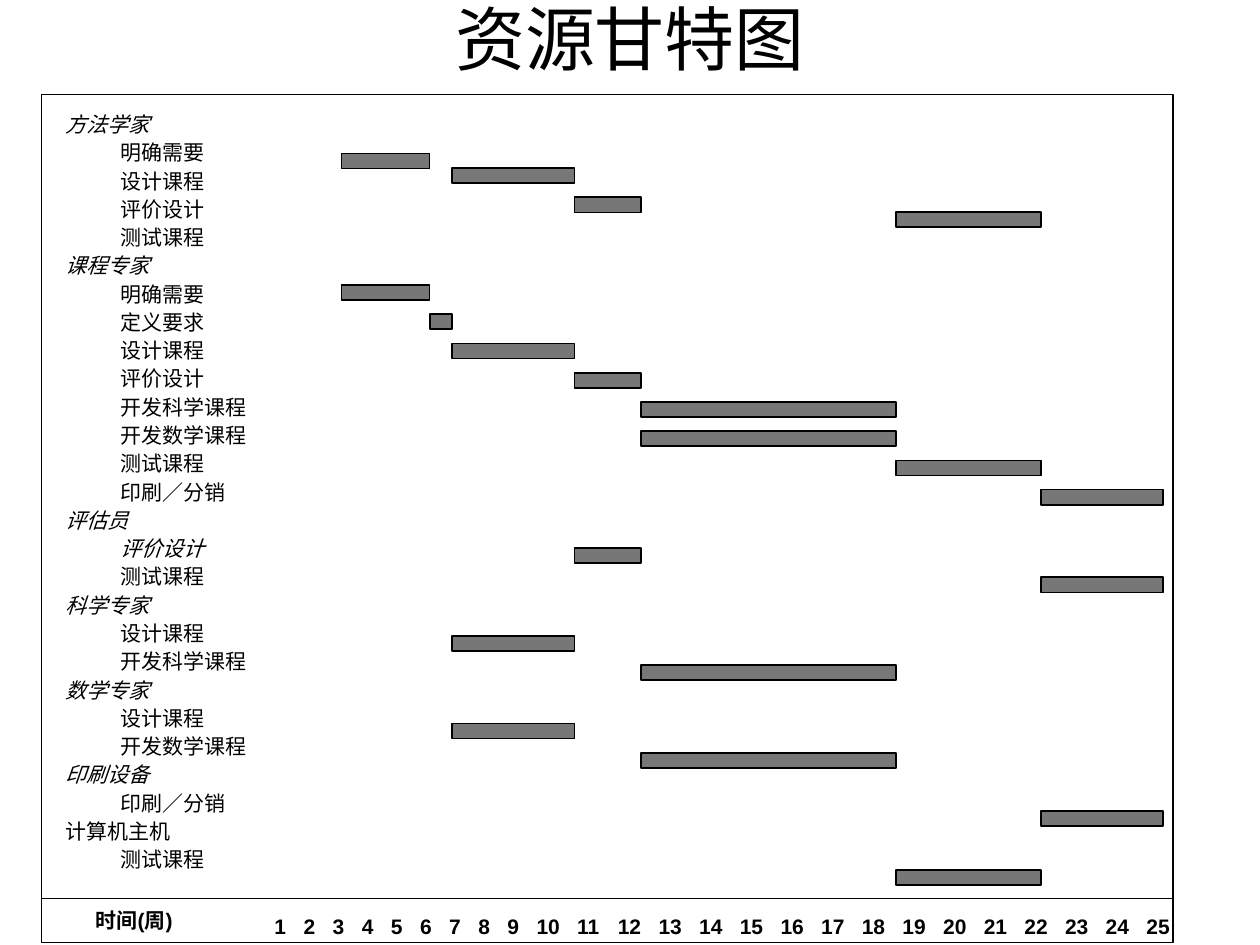
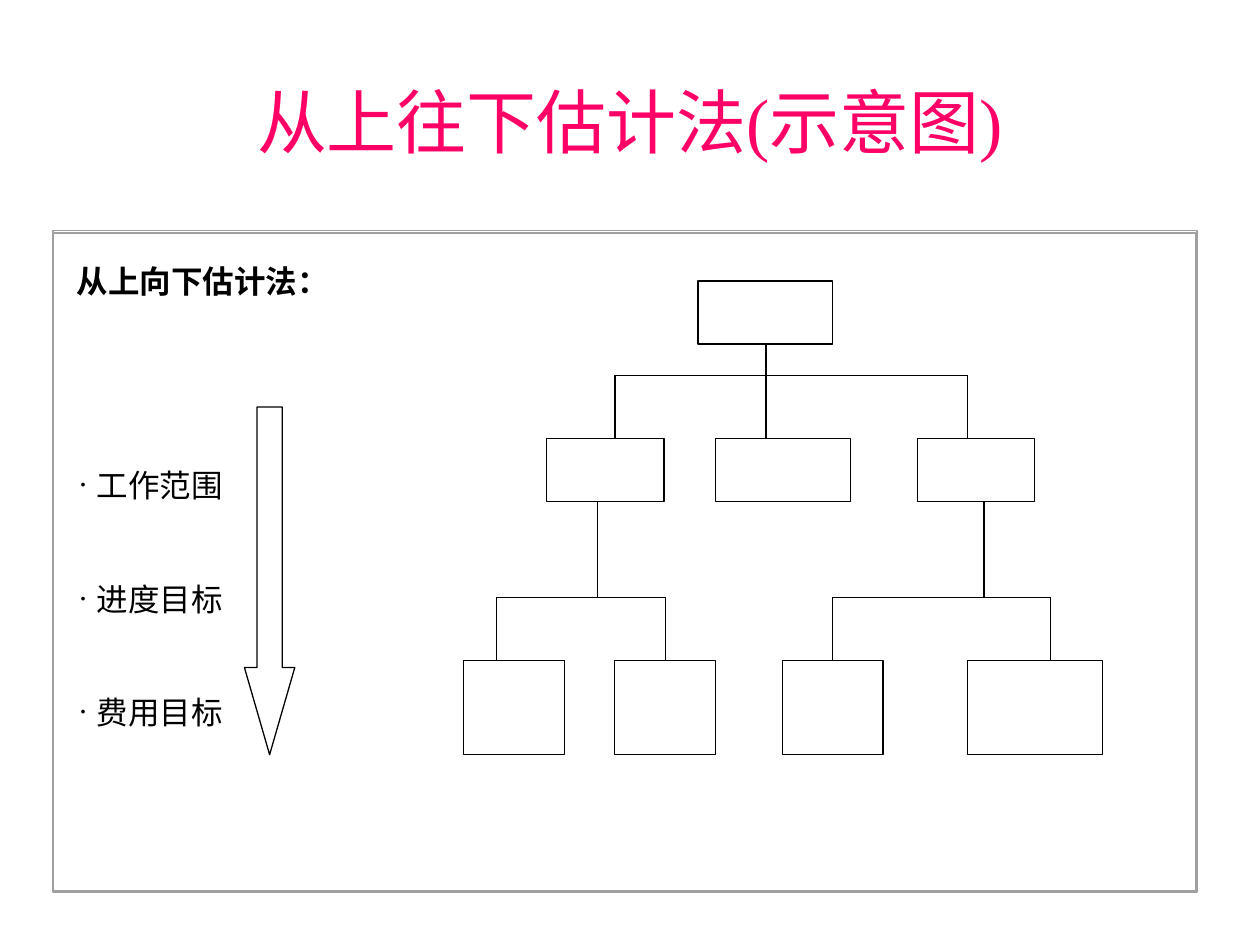
"""Build a resource Gantt chart slide and a top-down estimating slide."""
import pptx
import pptx.dml.color
import pptx.enum.shapes
import pptx.enum.text
import pptx.oxml.ns
import pptx.util
from lxml import etree

Inches = pptx.util.Inches
Pt = pptx.util.Pt
SHAPE = pptx.enum.shapes.MSO_SHAPE
ALIGN = pptx.enum.text.PP_ALIGN
ANCHOR = pptx.enum.text.MSO_ANCHOR

BLACK, WHITE, BAR_GRAY, FRAME_GRAY, PINK = "000000", "FFFFFF", "777777", "A0A0A0", "FF0066"
SANS, SERIF, TITLE_SANS = "Arial", "Times New Roman", "Lato"

GANTT_TITLE = "资源甘特图"
AXIS_TITLE = "时间(周)"
PHASES = {
    "明确需要": (2.71, 3.41),
    "定义要求": (3.41, 3.59),
    "设计课程": (3.59, 4.56),
    "评价设计": (4.56, 5.09),
    "开发科学课程": (5.09, 7.11),
    "开发数学课程": (5.09, 7.11),
    "测试课程": (7.11, 8.26),
    "印刷／分销": (8.26, 9.23),
}
RESOURCES = [
    ("方法学家", ["明确需要", "设计课程", "评价设计", "测试课程"]),
    ("课程专家", list(PHASES)),
    ("评估员", ["评价设计", "测试课程"]),
    ("科学专家", ["设计课程", "开发科学课程"]),
    ("数学专家", ["设计课程", "开发数学课程"]),
    ("印刷设备", ["印刷／分销"]),
    ("计算机主机", ["测试课程"]),
]
UPRIGHT_RESOURCES = {"计算机主机"}
ITALIC_TASKS = {("评估员", "评价设计")}
PHASE_OVERRIDES = {("评估员", "测试课程"): "印刷／分销"}
ROW_SHIFTS = {1: 0.5, 4: -0.5}
FIRST_BAR_TOP, BAR_PITCH, BAR_HEIGHT = 0.87, 0.232, 0.12
WEEKS = range(1, 26)
WEEK_10_TAB, WEEK_25_TAB = 2.08, 6.92

ESTIMATE_TITLE = "从上往下估计法(示意图)"
ESTIMATE_HEADING = "从上向下估计法："
TARGETS = ["工作范围", "进度目标", "费用目标"]
TREE_LEVELS = [
    (2.23, 0.5, [(5.54, 1.07)]),
    (3.48, 0.5, [(4.34, 0.93), (5.68, 1.07), (7.28, 0.93)]),
    (5.24, 0.75, [(3.68, 0.8), (4.88, 0.8), (6.21, 0.8), (7.68, 1.07)]),
]
BRANCHES = [
    (6.08, 2.73, 2.98, 3.48, [4.88, 6.08, 7.68]),
    (4.74, 3.98, 4.74, 5.24, [3.94, 5.28]),
    (7.81, 3.98, 4.74, 5.24, [6.61, 8.34]),
]


def color(hex_text):
    return pptx.dml.color.RGBColor.from_string(hex_text)


def add_box(page, left, top, width, height, anchor=ANCHOR.TOP):
    box = page.shapes.add_textbox(Inches(left), Inches(top), Inches(width), Inches(height))
    box.text_frame.word_wrap = True
    box.text_frame.vertical_anchor = anchor
    return box


def add_text(box, text, size=12, font=SANS, ink=BLACK, bold=False, italic=False,
             align=ALIGN.LEFT, before=0, spacing=None, margin=0, bullet=None, tabs=()):
    frame = box.text_frame
    first = not frame.paragraphs[0].runs
    para = frame.paragraphs[0] if first else frame.add_paragraph()
    para.alignment = align
    if spacing:
        para.line_spacing = spacing
    if before and not first:
        para.space_before = Pt(before)
    properties = para._p.get_or_add_pPr()
    if margin:
        properties.set("marL", str(Inches(margin)))
        properties.set("indent", str(-Inches(margin) if bullet else 0))
    qn = pptx.oxml.ns.qn
    if bullet:
        etree.SubElement(properties, qn("a:buFont"), typeface=font)
        etree.SubElement(properties, qn("a:buChar"), char=bullet)
    if tabs:
        tab_list = etree.SubElement(properties, qn("a:tabLst"))
        for position in tabs:
            etree.SubElement(tab_list, qn("a:tab"), pos=str(Inches(position)), algn="l")
    span = para.add_run()
    span.text = text
    span.font.size = Pt(size)
    span.font.name = font
    span.font.bold = bold
    span.font.italic = italic
    span.font.color.rgb = color(ink)


def add_title(page, text, top, font, ink):
    box = add_box(page, 0.75, top, 8.5, 1.25, ANCHOR.MIDDLE)
    add_text(box, text, size=40, font=font, ink=ink, align=ALIGN.CENTER)


def add_block(page, left, top, width, height, fill=None, line=BLACK, weight=0.75,
              kind=SHAPE.RECTANGLE):
    block = page.shapes.add_shape(kind, Inches(left), Inches(top), Inches(width), Inches(height))
    block.shadow.inherit = False
    if fill:
        block.fill.solid()
        block.fill.fore_color.rgb = color(fill)
    else:
        block.fill.background()
    block.line.color.rgb = color(line)
    block.line.width = Pt(weight)
    return block


def add_line(page, x1, y1, x2, y2, weight=0.75):
    line = page.shapes.add_connector(pptx.enum.shapes.MSO_CONNECTOR.STRAIGHT,
                                     Inches(x1), Inches(y1), Inches(x2), Inches(y2))
    line.line.color.rgb = color(BLACK)
    line.line.width = Pt(weight)
    etree.SubElement(line._element.spPr, pptx.oxml.ns.qn("a:effectLst"))


def build_gantt(page):
    add_title(page, GANTT_TITLE, -0.33, TITLE_SANS, BLACK)
    add_block(page, 0.33, 0.75, 8.98, 6.73, weight=1)
    add_line(page, 0.33, 7.13, 9.31, 7.13, weight=1)

    labels = add_box(page, 0.42, 0.9, 2.29, 6.06, ANCHOR.BOTTOM)
    row = 0
    for resource, tasks in RESOURCES:
        add_text(labels, resource, italic=resource not in UPRIGHT_RESOURCES,
                 before=7.5, spacing=0.6)
        for row, task in enumerate(tasks, row + 1):
            key = (resource, task)
            add_text(labels, task, italic=key in ITALIC_TASKS,
                     before=7.5, spacing=0.6, margin=0.44)
            start, end = PHASES[PHASE_OVERRIDES.get(key, task)]
            top = FIRST_BAR_TOP + BAR_PITCH * (row + ROW_SHIFTS.get(row, 0))
            add_block(page, start, top, end - start, BAR_HEIGHT, fill=BAR_GRAY, weight=1)
        row += 1

    add_text(add_box(page, 0.58, 7.15, 0.97, 0.3, ANCHOR.BOTTOM), AXIS_TITLE,
             bold=True, align=ALIGN.CENTER)
    tabs = [WEEK_10_TAB * (week - 1) / 9 if week < 10
            else WEEK_10_TAB + (WEEK_25_TAB - WEEK_10_TAB) * (week - 10) / 15
            for week in WEEKS[1:]]
    add_text(add_box(page, 2.08, 7.2, 7.58, 0.3, ANCHOR.BOTTOM),
             "\t".join(map(str, WEEKS)), bold=True, tabs=tabs)


def build_estimate(page):
    add_title(page, ESTIMATE_TITLE, 0.33, SERIF, PINK)
    arrow = add_block(page, 1.94, 3.23, 0.4, 2.76, fill=WHITE, kind=SHAPE.DOWN_ARROW)
    arrow.adjustments[0] = 0.5
    arrow.adjustments[1] = 1.73

    for top, height, nodes in TREE_LEVELS:
        for left, width in nodes:
            add_block(page, left, top, width, height, fill=WHITE)
    for stem, top, middle, bottom, children in BRANCHES:
        add_line(page, stem, top, stem, middle)
        add_line(page, children[0], middle, children[-1], middle)
        for child in children:
            add_line(page, child, middle, child, bottom)

    add_text(add_box(page, 0.51, 2.03, 7.59, 0.4), ESTIMATE_HEADING,
             size=18, font=SERIF, bold=True)
    targets = add_box(page, 0.52, 3.65, 1.4, 2.3)
    for target in TARGETS:
        add_text(targets, target, size=18, font=SERIF, before=43.3, margin=0.15, bullet="·")
    add_block(page, 0.42, 1.85, 9.07, 5.22, line=FRAME_GRAY, weight=0)
    add_block(page, 0.42, 1.83, 9.08, 5.25, line=FRAME_GRAY)


def main():
    deck = pptx.Presentation()
    deck.slide_width, deck.slide_height = Inches(10), Inches(7.5)
    for build in (build_gantt, build_estimate):
        build(deck.slides.add_slide(deck.slide_layouts[6]))
    deck.save("out.pptx")


if __name__ == "__main__":
    main()
